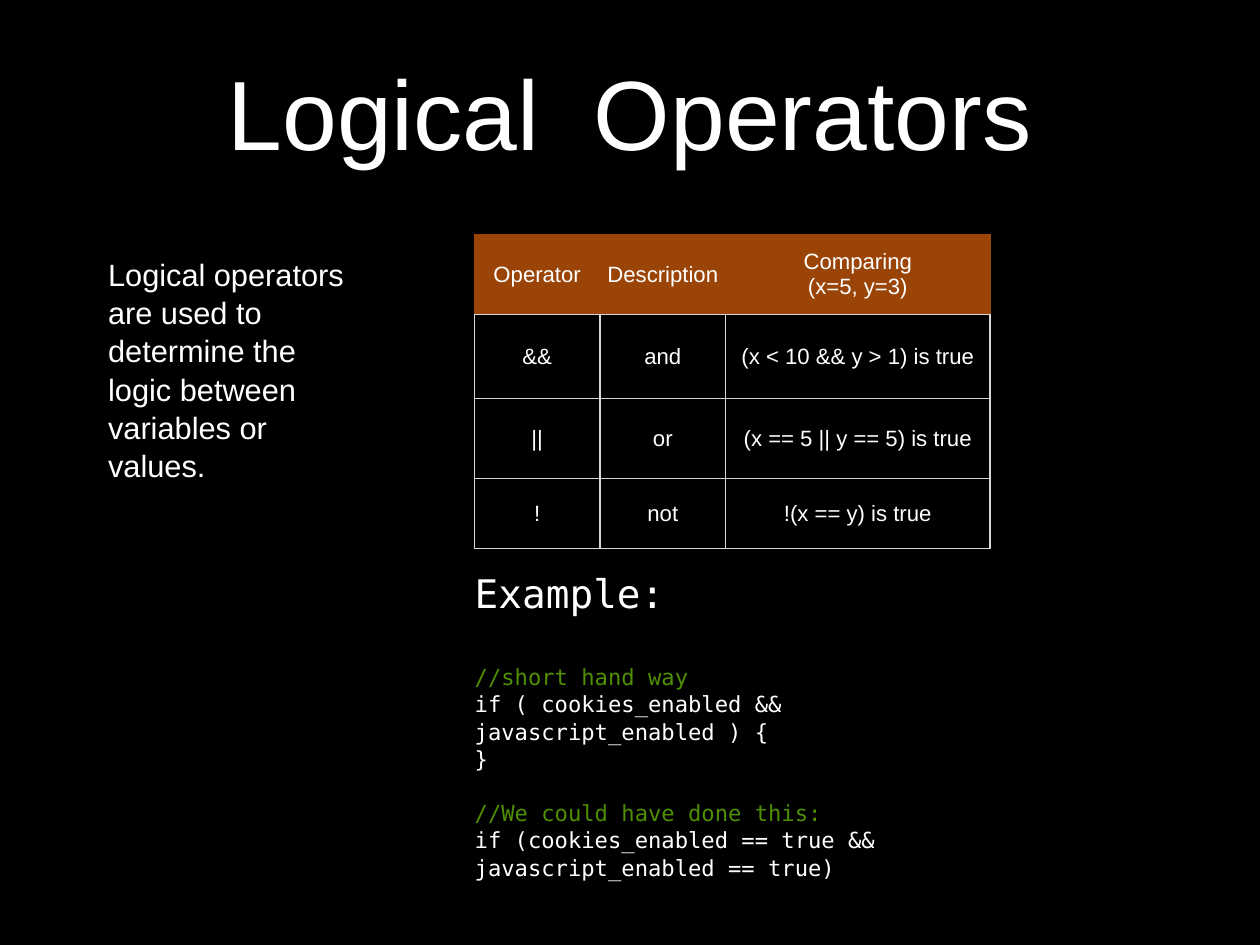
import pptx
import pptx.util
import pptx.dml.color
import pptx.enum.text
import pptx.oxml
import pptx.oxml.ns
from pptx.util import Cm

RGBColor = pptx.dml.color.RGBColor
Pt = pptx.util.Pt
Align = pptx.enum.text.PP_ALIGN
Anchor = pptx.enum.text.MSO_ANCHOR

BLACK = RGBColor(0x00, 0x00, 0x00)
WHITE = RGBColor(0xFF, 0xFF, 0xFF)
BROWN = RGBColor(0x9B, 0x44, 0x07)
SILVER = RGBColor(0xD6, 0xD7, 0xD6)
GREEN = RGBColor(0x4F, 0x8F, 0x00)

SANS = "Arial"
MONO = "DejaVu Sans Mono"

OPERATOR_ROWS = [
    ["Operator", "Description", "Comparing\n(x=5, y=3)"],
    ["&&", "and", "(x < 10 && y > 1) is true"],
    ["||", "or", "(x == 5 || y == 5) is true"],
    ["!", "not", "!(x == y) is true"],
]

# Text, size, colour, space before in points
EXAMPLE_LINES = [
    ("Example:", 32, WHITE, 0),
    ("//short hand way", 18, GREEN, 38),
    ("if ( cookies_enabled && javascript_enabled ) {", 18, WHITE, 0),
    ("}", 18, WHITE, 0),
    ("//We could have done this:", 18, GREEN, 21.5),
    ("if (cookies_enabled == true && javascript_enabled == true)", 18, WHITE, 0),
]


class SlideBuilder:
    """Holds the current page and draws its elements in the deck's style."""

    def __init__(self, deck):
        self.page = deck.slides.add_slide(deck.slide_layouts[6])
        background = self.page.background.fill
        background.solid()
        background.fore_color.rgb = BLACK

    def style(self, para, size, color=WHITE, font=SANS, align=Align.LEFT):
        para.alignment = align
        para.font.name = font
        para.font.size = Pt(size)
        para.font.bold = False
        para.font.color.rgb = color

    def text(self, place, lines, font=SANS, align=Align.LEFT, spacing=1.0, right=0):
        box = self.page.shapes.add_textbox(*(Cm(length) for length in place))
        frame = box.text_frame
        frame.word_wrap = True
        frame.vertical_anchor = Anchor.MIDDLE
        frame.margin_left = frame.margin_top = frame.margin_bottom = 0
        frame.margin_right = Cm(right)
        for index, (words, size, color, before) in enumerate(lines):
            para = frame.add_paragraph() if index else frame.paragraphs[0]
            para.text = words
            para.line_spacing = spacing
            if before:
                para.space_before = Pt(before)
            self.style(para, size, color, font, align)

    def borders(self, cell, colors):
        properties = cell._tc.get_or_add_tcPr()
        for side, color in zip("LRTB", colors):
            properties.append(pptx.oxml.parse_xml(
                f'<a:ln{side} {pptx.oxml.ns.nsdecls("a")} w="12700">'
                f'<a:solidFill><a:srgbClr val="{color}"/></a:solidFill></a:ln{side}>'))

    def table(self, left, top, widths, heights, rows):
        table = self.page.shapes.add_table(
            len(rows), len(widths), Cm(left), Cm(top),
            Cm(sum(widths)), Cm(sum(heights))).table
        table.first_row = table.horz_banding = False
        for column, width in zip(table.columns, widths):
            column.width = Cm(width)
        for index, (row, height) in enumerate(zip(rows, heights)):
            table.rows[index].height = Cm(height)
            for position, words in enumerate(row):
                self.cell(table.cell(index, position), words, index == 0)

    def cell(self, cell, words, is_header):
        cell.text = words
        cell.vertical_anchor = Anchor.MIDDLE
        cell.margin_left = cell.margin_right = Cm(0.15)
        cell.margin_top = cell.margin_bottom = Cm(0.15)
        for para in cell.text_frame.paragraphs:
            self.style(para, 18, align=Align.CENTER)
        edge = BROWN if is_header else SILVER
        self.borders(cell, [edge, edge, edge if is_header else SILVER, SILVER])
        if is_header:
            cell.fill.solid()
            cell.fill.fore_color.rgb = BROWN
        else:
            cell.fill.background()


def main():
    deck = pptx.Presentation()
    deck.slide_width = Cm(36.12)
    deck.slide_height = Cm(27.1)
    builder = SlideBuilder(deck)

    # Title
    builder.text((2.64, 0.2, 30.84, 6), [("Logical  Operators", 80, WHITE, 0)],
                 align=Align.CENTER)

    # Operator table
    builder.table(13.6, 6.73, [3.6, 3.6, 7.58], [2.29, 2.41, 2.29, 2.01], OPERATOR_ROWS)

    # Introduction
    introduction = ("Logical operators are used to determine the logic "
                    "between variables or values.")
    builder.text((3.1, 6.73, 6.99, 7.7), [(introduction, 25, WHITE, 0)], spacing=1.04)

    # Code example
    builder.text((13.61, 17.09, 16.71, 7.34), EXAMPLE_LINES, font=MONO,
                 spacing=1.03, right=2.8)

    deck.save("out.pptx")


if __name__ == "__main__":
    main()
